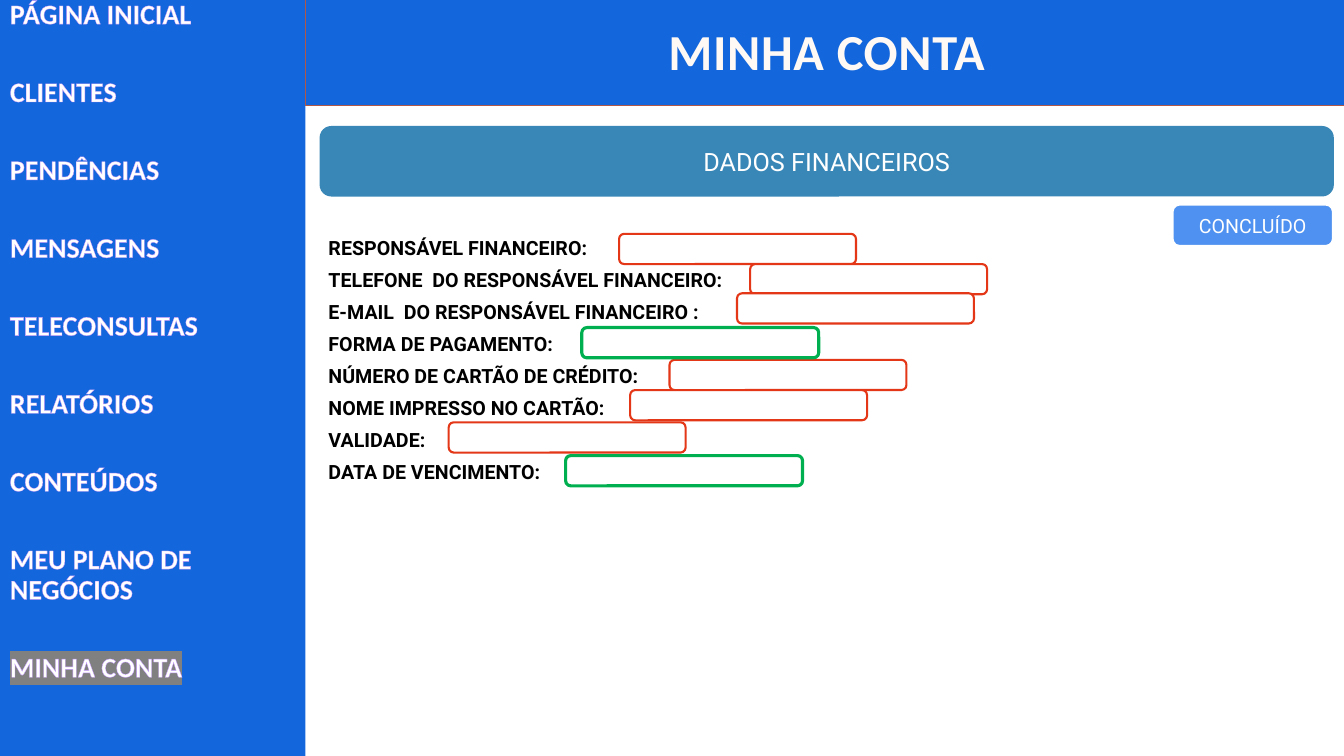
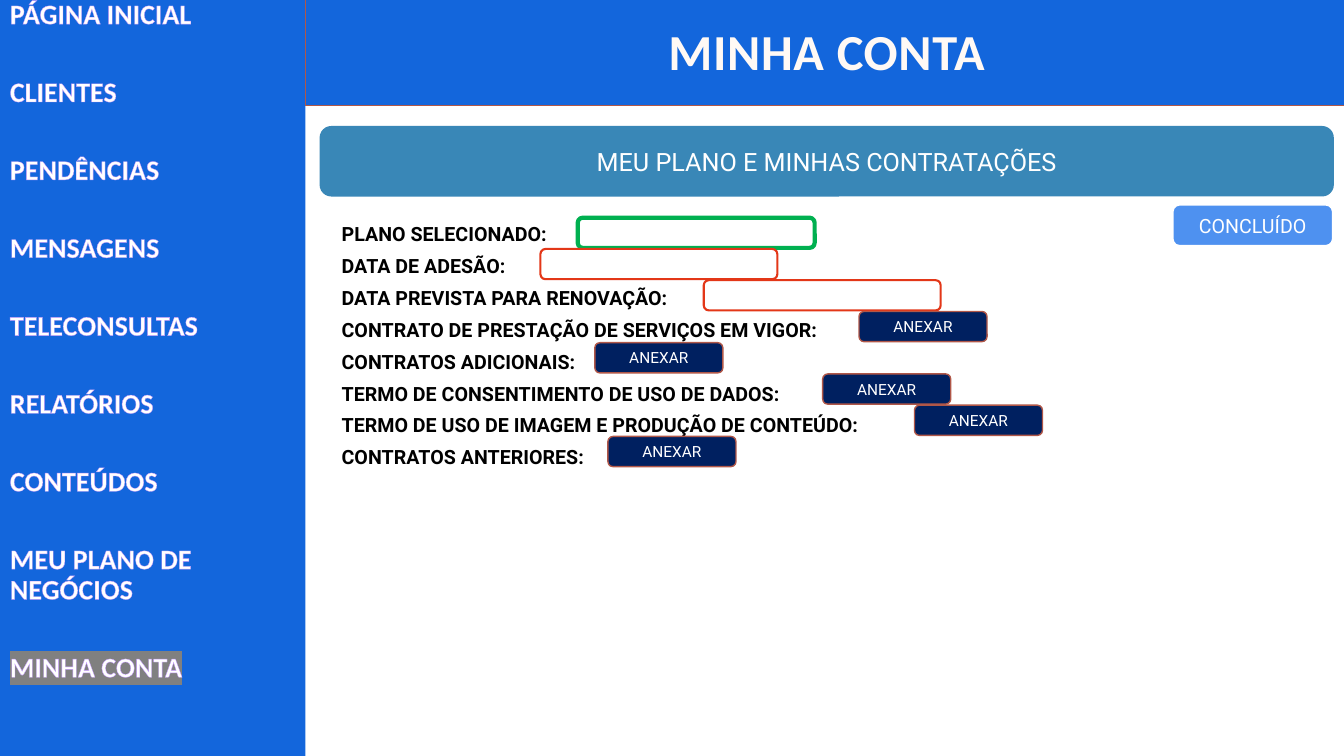
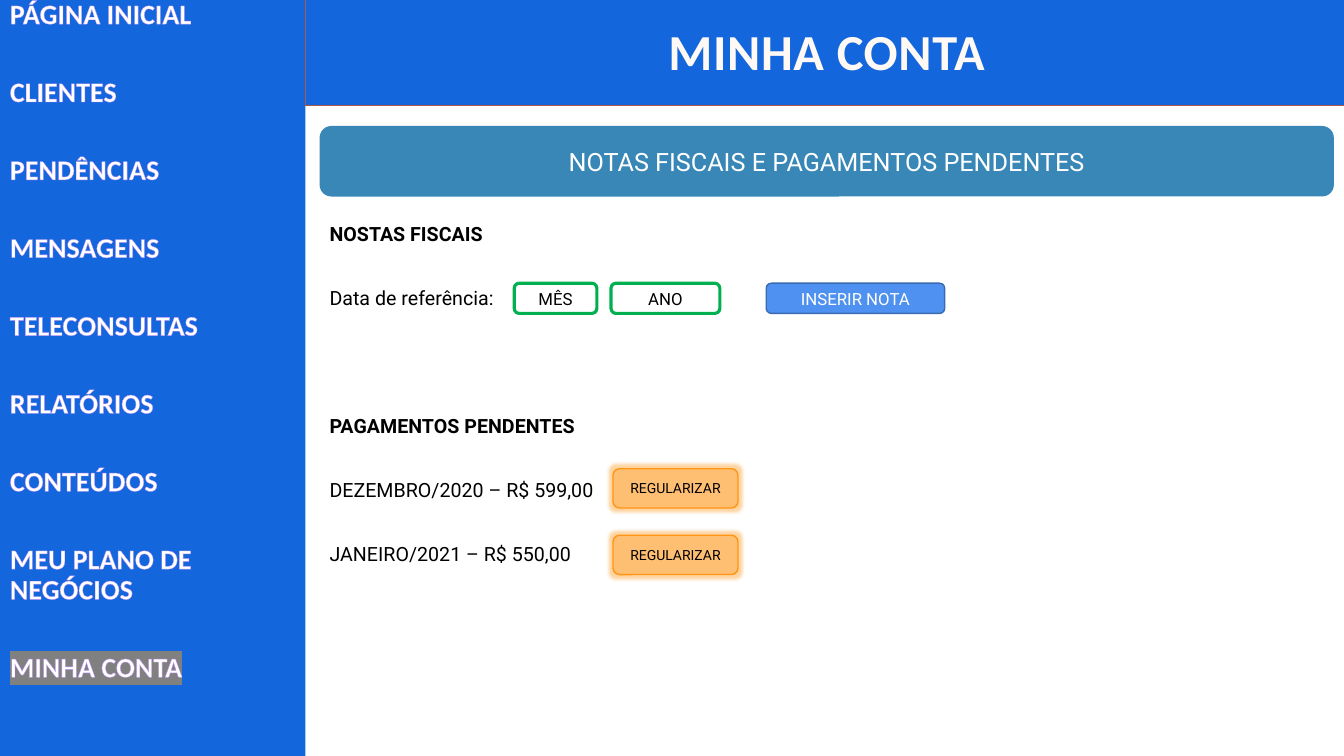
from lxml.etree import SubElement
from pptx import Presentation
from pptx.dml.color import RGBColor
from pptx.enum.shapes import MSO_SHAPE
from pptx.enum.text import MSO_ANCHOR, PP_ALIGN
from pptx.oxml import parse_xml
from pptx.oxml.ns import nsdecls, qn
from pptx.util import Inches, Pt

WHITE = RGBColor(0xFF, 0xFF, 0xFF)
BLACK = RGBColor(0, 0, 0)
CREAM = RGBColor(0xFF, 0xF9, 0xF5)
BLUE = RGBColor(0x13, 0x66, 0xDC)
TEAL = RGBColor(0x39, 0x87, 0xB7)
SKY = RGBColor(0x4E, 0x91, 0xF0)
SKY_EDGE = RGBColor(0x3A, 0x6B, 0xB2)
NAVY = RGBColor(0x00, 0x20, 0x60)
BRICK = RGBColor(0xB0, 0x57, 0x48)
RED = RGBColor(0xE3, 0x37, 0x18)
GREEN = RGBColor(0x00, 0xB0, 0x50)
PEACH = RGBColor(0xFF, 0xBF, 0x72)
ORANGE = RGBColor(0xFF, 0x95, 0x14)

# style: fill, line colour, line width, text size, text colour
STYLES = {
    "input": (WHITE, RED, 1.5, 12, BLACK),
    "choice": (WHITE, GREEN, 2.25, 12, BLACK),
    "plan": (WHITE, GREEN, 3, 12, BLACK),
    "done": (SKY, WHITE, 1.5, 14, WHITE),
    "attach": (NAVY, BRICK, 1, 11, WHITE),
    "insert": (SKY, SKY_EDGE, 1, 12, WHITE),
    "settle": (PEACH, ORANGE, 1, 10, BLACK),
    "section": (TEAL, None, 0, 18, WHITE),
    "header": (BLUE, BRICK, 1, 36, CREAM),
    "menu": (BLUE, None, 0, 20, WHITE),
}
MENU = ["PÁGINA INICIAL", "CLIENTES", "PENDÊNCIAS", "MENSAGENS", "TELECONSULTAS",
        "RELATÓRIOS", "CONTEÚDOS", "MEU PLANO DE NEGÓCIOS", "MINHA CONTA"]
ACTIVE = "MINHA CONTA"
LINE_PITCH = 22.86
FIELD_W, FIELD_H, ATTACH_W = 2.35, 0.3, 1.27
DONE = (11.63, 2.03, 1.59, 0.41, "done", "CONCLUÍDO")

# label: text, bold, empty lines above
finance_labels = [(text, True, 0) for text in (
    "RESPONSÁVEL FINANCEIRO:", "TELEFONE  DO RESPONSÁVEL FINANCEIRO:",
    "E-MAIL  DO RESPONSÁVEL FINANCEIRO :", "FORMA DE PAGAMENTO:",
    "NÚMERO DE CARTÃO DE CRÉDITO:", "NOME IMPRESSO NO CARTÃO:",
    "VALIDADE:", "DATA DE VENCIMENTO:")]
finance_boxes = [(x, y, FIELD_W, FIELD_H, style, "") for x, y, style in (
    (6.14, 2.32, "input"), (7.44, 2.62, "input"), (7.31, 2.91, "input"),
    (6.64, 3.57, "input"), (6.25, 3.87, "input"), (4.45, 4.19, "input"),
    (5.77, 3.25, "choice"), (5.61, 4.52, "choice"))]

plan_rows = [
    ("PLANO SELECIONADO:", 5.73, "plan"),
    ("DATA DE ADESÃO:", 5.36, "input"),
    ("DATA PREVISTA PARA RENOVAÇÃO:", 6.98, "input"),
    ("CONTRATO DE PRESTAÇÃO DE SERVIÇOS EM VIGOR:", 8.52, "attach"),
    ("CONTRATOS ADICIONAIS:", 5.9, "attach"),
    ("TERMO DE CONSENTIMENTO DE USO DE DADOS:", 8.16, "attach"),
    ("TERMO DE USO DE IMAGEM E PRODUÇÃO DE CONTEÚDO:", 9.07, "attach"),
    ("CONTRATOS ANTERIORES:", 6.03, "attach"),
]
plan_labels = [(text, True, 0) for text, x, style in plan_rows]
plan_boxes = [(x, 2.16 + 0.31 * i, ATTACH_W if style == "attach" else FIELD_W, FIELD_H,
               style, "ANEXAR" if style == "attach" else "")
              for i, (text, x, style) in enumerate(plan_rows)]

invoice_labels = [
    ("NOSTAS FISCAIS", True, 0),
    ("Data de referência:", False, 1),
    ("PAGAMENTOS PENDENTES", True, 3),
    ("DEZEMBRO/2020 – R$ 599,00", False, 1),
    ("JANEIRO/2021 – R$ 550,00", False, 1),
]
invoice_boxes = [
    (6.08, 4.65, 1.24, 0.39, "settle", "REGULARIZAR"),
    (6.08, 5.31, 1.24, 0.39, "settle", "REGULARIZAR"),
    (7.6, 2.81, 1.77, FIELD_H, "insert", "INSERIR NOTA"),
    (5.1, 2.81, 0.82, FIELD_H, "choice", "MÊS"),
    (6.06, 2.81, 1.08, FIELD_H, "choice", "ANO"),
]

# page: section title, label block (left, top, height), labels, boxes
PAGES = [
    ("DADOS FINANCEIROS", (3.16, 2.29, 2.89), finance_labels, finance_boxes + [DONE]),
    ("MEU PLANO E MINHAS CONTRATAÇÕES", (3.29, 2.15, 3.21), plan_labels, plan_boxes + [DONE]),
    ("NOTAS FISCAIS E PAGAMENTOS PENDENTES", (3.17, 2.15, 3.85), invoice_labels, invoice_boxes),
]


def add_run(p, text, size, color, bold=False, font="Roboto"):
    """Append one formatted run to a paragraph and return it."""
    r = p.add_run()
    r.text = text
    r.font.size, r.font.bold, r.font.name = Pt(size), bold, font
    r.font.color.rgb = color
    return r


def add_box(slide, box, kind=MSO_SHAPE.ROUNDED_RECTANGLE, bold=False, font="Roboto"):
    """Add a styled shape, with centred text if there is any."""
    x, y, w, h, style, text = box
    fill, line, width, size, color = STYLES[style]
    sp = slide.shapes.add_shape(kind, Inches(x), Inches(y), Inches(w), Inches(h))
    sp.shadow.inherit = False
    sp.fill.solid()
    sp.fill.fore_color.rgb = fill
    if line is None:
        sp.line.fill.background()
    else:
        sp.line.color.rgb = line
        sp.line.width = Pt(width)
    if text:
        sp.text_frame.vertical_anchor = MSO_ANCHOR.MIDDLE
        p = sp.text_frame.paragraphs[0]
        p.alignment = PP_ALIGN.CENTER
        add_run(p, text, size, color, bold, font)
    return sp


prs = Presentation()
prs.slide_width, prs.slide_height = Inches(13.33), Inches(7.5)

for title, (left, top, height), labels, boxes in PAGES:
    slide = prs.slides.add_slide(prs.slide_layouts[6])

    # Side menu with the current entry highlighted
    menu = add_box(slide, (0, -0.05, 3.03, 7.55, "menu", ""), MSO_SHAPE.RECTANGLE)
    tf = menu.text_frame
    tf.vertical_anchor = MSO_ANCHOR.TOP
    for i, entry in enumerate(MENU):
        p = tf.add_paragraph() if i else tf.paragraphs[0]
        p.alignment = PP_ALIGN.LEFT
        p.line_spacing, p.space_before, p.space_after = 0.9, Pt(10), Pt(24)
        r = add_run(p, entry, 20, WHITE, True, "Calibri")
        rPr = r.font._element
        rPr.insert(0, parse_xml(
            f'<a:ln {nsdecls("a")} w="10160"><a:solidFill><a:srgbClr val="C097F8"/>'
            '</a:solidFill></a:ln>'))
        if entry == ACTIVE:
            rPr.find(qn("a:solidFill")).addnext(parse_xml(
                f'<a:highlight {nsdecls("a")}><a:srgbClr val="808080"/></a:highlight>'))

    # Page header and section band
    header = add_box(slide, (3.03, -0.05, 10.34, 1.1, "header", ACTIVE),
                     MSO_SHAPE.RECTANGLE, True, "Calibri")
    header.text_frame.paragraphs[0].runs[0].font._element.set("spc", "50")
    add_box(slide, (3.17, 1.25, 10.06, 0.7, "section", title))

    # Field labels
    tf = slide.shapes.add_textbox(Inches(left), Inches(top), Inches(10.04),
                                  Inches(height)).text_frame
    tf.word_wrap = True
    for i, (text, bold, skipped) in enumerate(labels):
        p = tf.add_paragraph() if i else tf.paragraphs[0]
        p.space_before, p.space_after = Pt(skipped * LINE_PITCH), Pt(6)
        add_run(p, text, 14, BLACK, bold)

    # Fields and buttons
    for box in boxes:
        sp = add_box(slide, box)
        if box[4] == "settle":
            effects = sp._element.spPr.find(qn("a:effectLst"))
            glow = SubElement(effects, qn("a:glow"), rad="63500")
            tint = SubElement(glow, qn("a:srgbClr"), val=str(ORANGE))
            SubElement(tint, qn("a:alpha"), val="40000")

prs.save("out.pptx")
